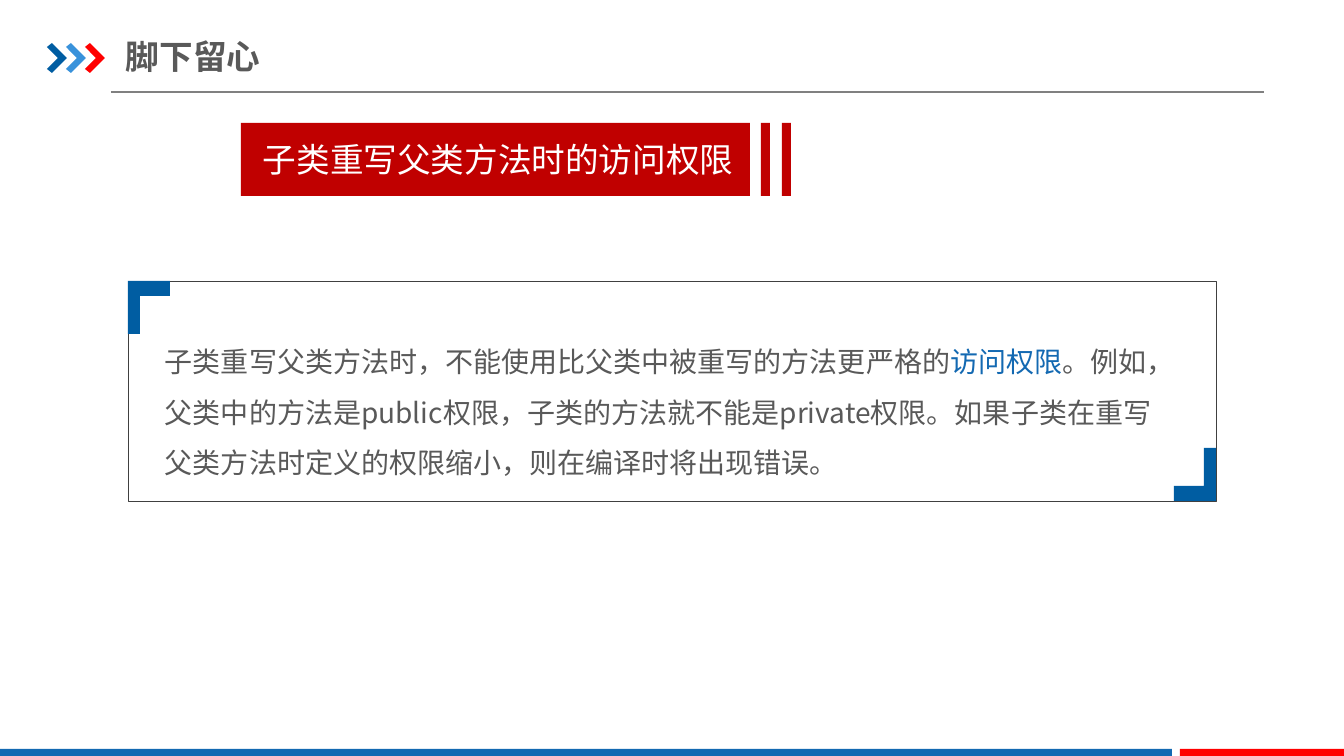
import pptx
import pptx.util
import pptx.dml.color
import pptx.enum.shapes
import pptx.enum.text
import pptx.oxml.ns
from lxml import etree

PX = 12192000 / 1344
FONT = "Noto Sans CJK SC"
COLORS = {
    "navy": "005DA2", "sky": "3992DB", "red": "FF0000", "blue": "1369B2",
    "crimson": "C00000", "text": "595959", "rule": "808080",
    "frame": "404040", "white": "FFFFFF",
}
TITLE = "脚下留心"
BANNER = "子类重写父类方法时的访问权限"
BODY = [
    ("子类重写父类方法时，不能使用比父类中被重写的方法更严格的", "text"),
    ("访问权限", "blue"),
    ("。例如，父类中的方法是public权限，子类的方法就不能是private权限。"
     "如果子类在重写父类方法时定义的权限缩小，则在编译时将出现错误。", "text"),
]
CHEVRON = [(0, 4), (5, 0), (20, 15), (5, 30), (0, 26), (11, 15)]
CHEVRON_COLORS = ["navy", "sky", "red"]
BRACKET = [(0, 0), (42, 0), (42, 15), (12, 15), (12, 53), (0, 53)]
FOOTER = [(0, 1172, "blue"), (1180, 164, "red")]
BANNER_BARS = [(241, 509), (761, 9), (782, 9)]
FRAME = (128, 281, 1088, 220)

SHAPE = pptx.enum.shapes.MSO_SHAPE
ALIGN = pptx.enum.text.PP_ALIGN
ANCHOR = pptx.enum.text.MSO_ANCHOR


def emu(px):
    return pptx.util.Emu(round(px * PX))


def rgb(name):
    return pptx.dml.color.RGBColor.from_string(COLORS[name])


def paint(sp, color):
    sp.shadow.inherit = False
    sp.fill.solid()
    sp.fill.fore_color.rgb = rgb(color)
    sp.line.fill.background()


def add_box(s, x, y, w, h, color):
    sp = s.shapes.add_shape(SHAPE.RECTANGLE, *map(emu, (x, y, w, h)))
    paint(sp, color)
    return sp


def add_outline(s, points, color):
    pts = [(emu(x), emu(y)) for x, y in points]
    fb = s.shapes.build_freeform(*pts[0])
    fb.add_line_segments(pts[1:], close=True)
    paint(fb.convert_to_shape(), color)


def add_run(p, text, color="text", size=20, bold=False, font=FONT):
    r = p.add_run()
    r.text = text
    r.font.size = pptx.util.Pt(size)
    r.font.bold = bold
    r.font.name = font
    r.font.color.rgb = rgb(color)
    ea = etree.SubElement(r.font._element, pptx.oxml.ns.qn("a:ea"))
    ea.set("typeface", FONT)


def add_title(s):
    sp = s.shapes.title
    sp.left, sp.top, sp.width, sp.height = map(emu, (126, 29, 429, 55))
    tf = sp.text_frame
    tf.auto_size = pptx.enum.text.MSO_AUTO_SIZE.NONE
    tf.vertical_anchor = ANCHOR.MIDDLE
    tf.margin_left = tf.margin_right = 0
    tf.margin_top = tf.margin_bottom = emu(7)
    tf.paragraphs[0].alignment = ALIGN.LEFT
    add_run(tf.paragraphs[0], TITLE, size=24, bold=True)


def add_header(s):
    rule = s.shapes.add_connector(
        pptx.enum.shapes.MSO_CONNECTOR.STRAIGHT,
        emu(111), emu(92), emu(1264), emu(92))
    rule.line.color.rgb = rgb("rule")
    rule.line.width = pptx.util.Pt(0.75)
    etree.SubElement(rule._element.spPr, pptx.oxml.ns.qn("a:effectLst"))
    for i, color in enumerate(CHEVRON_COLORS):
        add_outline(s, [(47 + 19 * i + x, 43 + y) for x, y in CHEVRON], color)
    for x, w, color in FOOTER:
        add_box(s, x, 749, w, 7, color)
    add_title(s)


def add_banner(s):
    for x, w in BANNER_BARS:
        add_box(s, x, 123, w, 73, "crimson")
    tf = add_box(s, 253, 134, 497, 50, "crimson").text_frame
    tf.word_wrap = True
    tf.vertical_anchor = ANCHOR.MIDDLE
    tf.paragraphs[0].alignment = ALIGN.JUSTIFY
    add_run(tf.paragraphs[0], BANNER, color="white", size=24, font="Arial")


def add_body(s):
    tf = s.shapes.add_textbox(*map(emu, (155, 323, 1033, 162))).text_frame
    tf.word_wrap = True
    p = tf.paragraphs[0]
    p.line_spacing = 1.5
    for text, color in BODY:
        add_run(p, text, color=color)


def add_frame(s):
    x, y, w, h = FRAME
    sp = s.shapes.add_shape(SHAPE.ROUNDED_RECTANGLE, *map(emu, FRAME))
    sp.adjustments[0] = 0
    sp.shadow.inherit = False
    sp.fill.background()
    sp.line.color.rgb = rgb("frame")
    sp.line.width = pptx.util.Pt(0.25)
    for cx, cy, sign in [(x, y, 1), (x + w, y + h, -1)]:
        add_outline(s, [(cx + sign * dx, cy + sign * dy) for dx, dy in BRACKET], "navy")


def main():
    prs = pptx.Presentation()
    prs.slide_width, prs.slide_height = emu(1344), emu(756)
    s = prs.slides.add_slide(prs.slide_layouts[5])
    add_header(s)
    add_banner(s)
    add_body(s)
    add_frame(s)
    prs.save("out.pptx")


if __name__ == "__main__":
    main()
